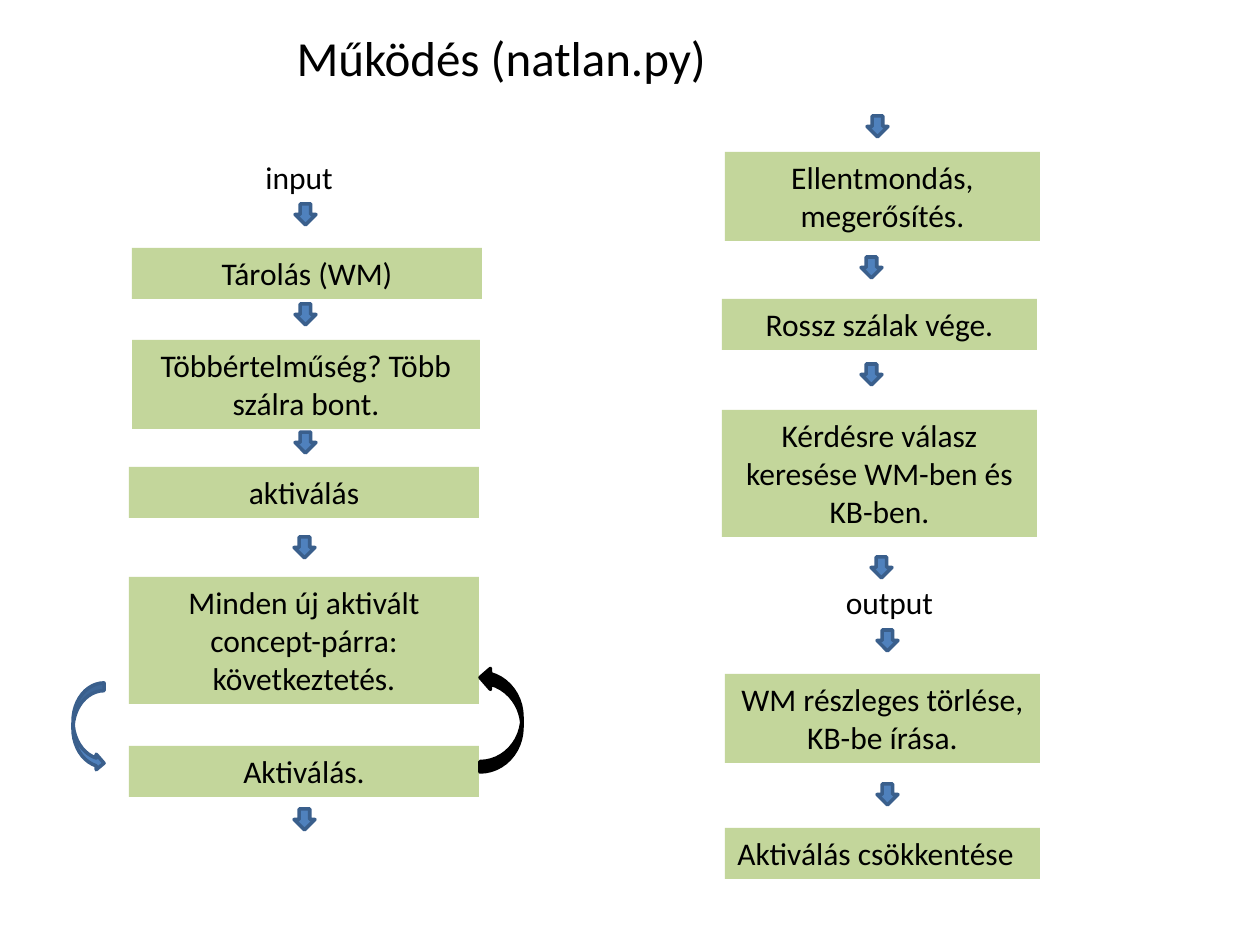
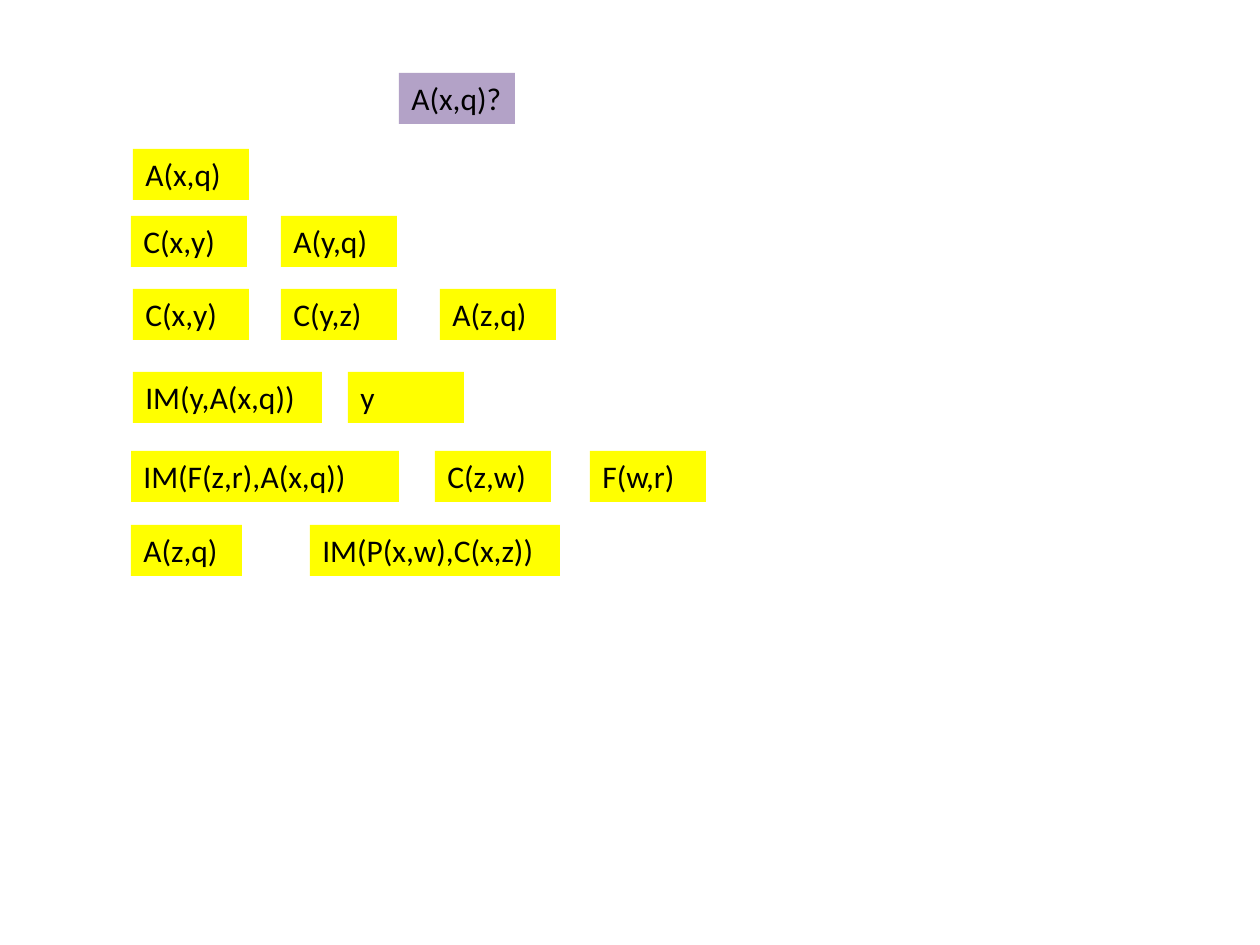
from dataclasses import dataclass

from pptx import Presentation
from pptx.dml.color import RGBColor
from pptx.enum.shapes import MSO_SHAPE
from pptx.enum.text import MSO_ANCHOR, MSO_AUTO_SIZE, PP_ALIGN
from pptx.util import Emu, Pt

RECT = MSO_SHAPE.RECTANGLE
DOWN = MSO_SHAPE.DOWN_ARROW
BEND_IN = MSO_SHAPE.CURVED_RIGHT_ARROW
BEND_OUT = MSO_SHAPE.CURVED_LEFT_ARROW
LEFT, MID = PP_ALIGN.LEFT, PP_ALIGN.CENTER
TOP = MSO_ANCHOR.TOP
GROW = MSO_AUTO_SIZE.SHAPE_TO_FIT_TEXT

SCALE = 914400 / 126
TITLE_ONLY, BLANK = 5, 6


@dataclass(frozen=True)
class Theme:
    """Colours, type and repeated sizes (pixels) of the deck."""
    font: str = "Calibri"
    head: int = 28
    body: int = 18
    ink: str = "000000"
    green: str = "C3D69B"
    yellow: str = "FFFF00"
    violet: str = "B3A2C7"
    blue: str = "4F81BD"
    edge: str = "3A5F8C"
    rule: int = 2
    arrow: int = 21
    pad: int = 13
    line: int = 38


THEME = Theme()


def px(*nums):
    """Turn pixels into EMU lengths."""
    return [Emu(round(n * SCALE)) for n in nums]


def rgb(code):
    """Read a hex colour."""
    return RGBColor.from_string(code)


def tall(lines):
    """Height of a box that holds this many lines of body text."""
    return THEME.pad + THEME.line * lines


def write(shape, text, size, align):
    """Put one run of text in a shape."""
    frame = shape.text_frame
    frame.word_wrap = True
    frame.auto_size = GROW
    frame.vertical_anchor = TOP
    para = frame.paragraphs[0]
    para.alignment = align
    run = para.add_run()
    run.text = text
    run.font.name = THEME.font
    run.font.size = Pt(size)
    run.font.color.rgb = rgb(THEME.ink)


def label(slide, text, x, y, w, lines=1, fill=None, align=LEFT):
    """Add a text box, or a filled box when a fill is given."""
    place = px(x, y, w, tall(lines))
    if fill:
        shape = slide.shapes.add_shape(RECT, *place)
        shape.shadow.inherit = False
        shape.fill.solid()
        shape.fill.fore_color.rgb = rgb(fill)
        shape.line.fill.background()
    else:
        shape = slide.shapes.add_textbox(*place)
    write(shape, text, THEME.body, align)


def arrow(slide, kind, x, y, w, h, fill=THEME.blue, edge=THEME.edge):
    """Add a block arrow."""
    shape = slide.shapes.add_shape(kind, *px(x, y, w, h))
    shape.shadow.inherit = False
    shape.fill.solid()
    shape.fill.fore_color.rgb = rgb(fill)
    shape.line.color.rgb = rgb(edge)
    shape.line.width = Pt(THEME.rule)
    return shape


def title(slide, text, x, y, w, h):
    """Place and fill the title."""
    head = slide.shapes.title
    head.left, head.top, head.width, head.height = px(x, y, w, h)
    write(head, text, THEME.head, LEFT)


def flow(slide, x, y, steps, downs):
    """Draw a column of steps and the down arrows between them."""
    for text, dx, dy, w, lines, fill, align in steps:
        label(slide, text, x + dx, y + dy, w, lines, fill, align)
    for dx, dy in downs:
        arrow(slide, DOWN, x + dx, y + dy, THEME.arrow, THEME.arrow)


def loop(slide, x, y):
    """Draw the two bent arrows of the inference loop."""
    arrow(slide, BEND_IN, x, y + 16, 31, 88)
    back = arrow(slide, BEND_OUT, x + 407, y, 42, 105, THEME.ink, THEME.ink)
    back.element.spPr.xfrm.set("flipV", "1")


def process(deck):
    """Build the slide of the two-column process."""
    slide = deck.slides.add_slide(deck.slide_layouts[TITLE_ONLY])
    title(slide, "Működés (natlan.py)", 284, 21, 494, 72)
    green = THEME.green
    flow(slide, 129, 116, [
        ("input", 124, 36, 134, 1, None, LEFT),
        ("Tárolás (WM)", 3, 132, 350, 1, green, MID),
        ("Többértelműség? Több szálra bont.", 3, 224, 348, 2, green, MID),
        ("aktiválás", 0, 351, 350, 1, green, MID),
        ("Minden új aktivált concept-párra: következtetés.",
         0, 461, 350, 3, green, MID),
        ("Aktiválás.", 0, 630, 350, 1, green, MID),
    ], [(166, 88), (166, 188), (166, 316), (165, 421), (165, 693)])
    loop(slide, 73, 667)
    flow(slide, 722, 116, [
        ("Ellentmondás, megerősítés.", 3, 36, 315, 2, green, MID),
        ("Rossz szálak vége.", 0, 183, 315, 1, green, MID),
        ("Kérdésre válasz keresése WM-ben és KB-ben.",
         0, 294, 315, 3, green, MID),
        ("output", 68, 461, 199, 1, None, MID),
        ("WM részleges törlése, KB-be írása.", 3, 558, 315, 2, green, MID),
        ("Aktiválás csökkentése", 3, 712, 315, 1, green, LEFT),
    ], [(145, 0), (139, 141), (139, 248), (149, 441), (155, 514), (155, 668)])


def rules(slide, x, y, rows):
    """Draw rows of yellow terms."""
    for dy, terms in rows:
        for text, dx, w in terms:
            label(slide, text, x + dx, y + dy, w, fill=THEME.yellow)


def proof(deck):
    """Build the slide of the query and the ways to prove it."""
    slide = deck.slides.add_slide(deck.slide_layouts[BLANK])
    unit = 116
    label(slide, "A(x,q)?", 399, 73, unit, fill=THEME.violet)
    rules(slide, 131, 149, [
        (0, [("A(x,q)", 2, unit)]),
        (67, [("C(x,y)", 0, unit), ("A(y,q)", 150, unit)]),
        (140, [("C(x,y)", 2, unit), ("C(y,z)", 150, unit),
               ("A(z,q)", 309, unit)]),
        (223, [("IM(y,A(x,q))", 2, 189), ("y", 217, unit)]),
        (302, [("IM(F(z,r),A(x,q))", 0, 268), ("C(z,w)", 304, unit),
               ("F(w,r)", 459, unit)]),
        (376, [("A(z,q)", 0, 111), ("IM(P(x,w),C(x,z))", 179, 250)]),
    ])


def main():
    """Build and save the deck."""
    deck = Presentation()
    deck.slide_width, deck.slide_height = px(1260, 945)
    process(deck)
    proof(deck)
    deck.save("out.pptx")


main()
